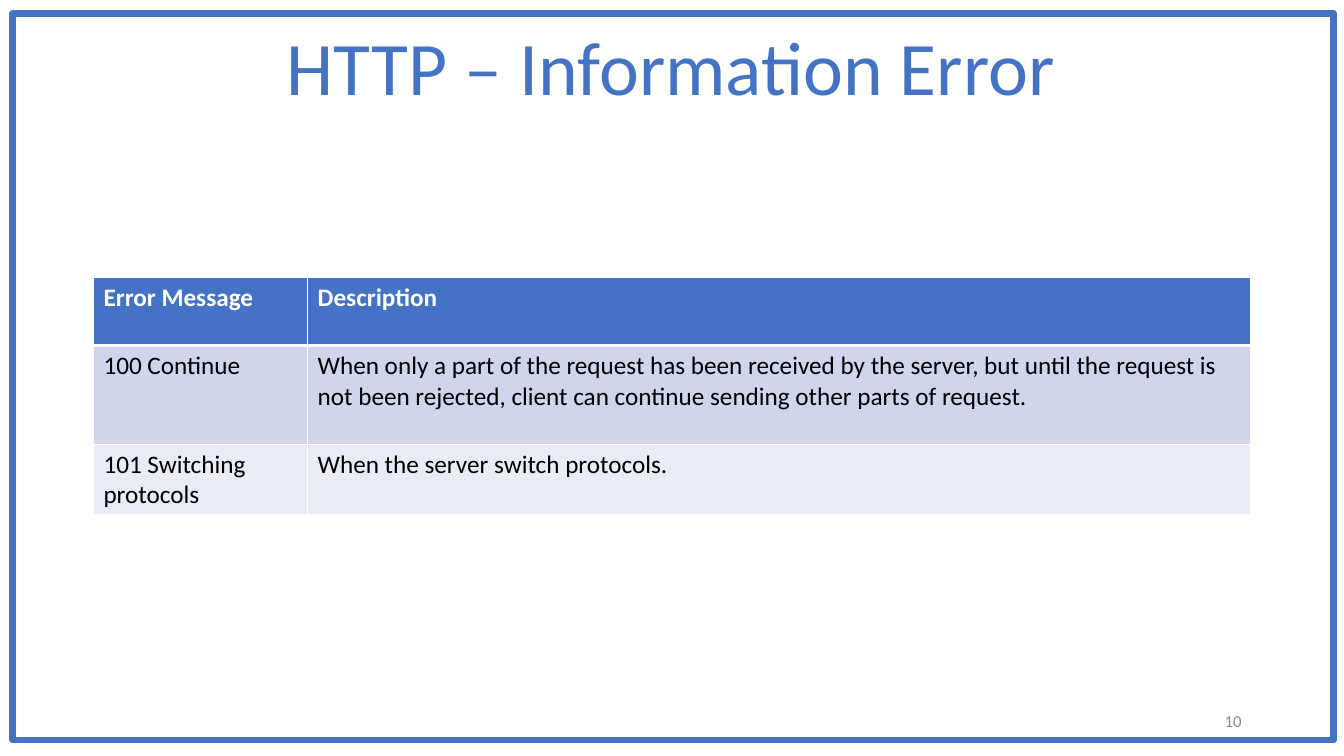
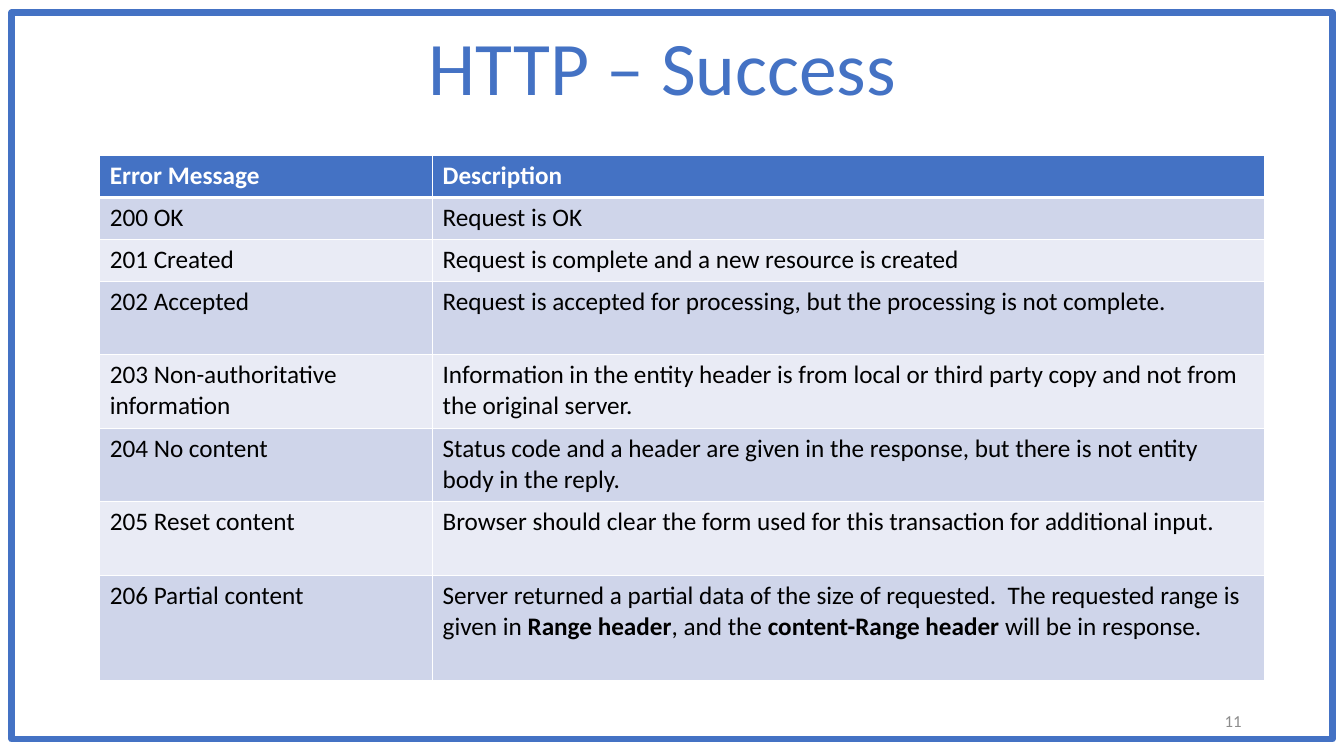
from lxml.etree import SubElement
from pptx import Presentation
from pptx.dml.color import RGBColor
from pptx.enum.shapes import MSO_SHAPE
from pptx.enum.text import MSO_ANCHOR, MSO_AUTO_SIZE, PP_ALIGN
from pptx.oxml.ns import qn
from pptx.util import Emu, Pt

PIXEL = 9525
FONT = "Calibri"
COLORS = {
    "accent": "4472C4",
    "white": "FFFFFF",
    "text": "000000",
    "number": "8C8C8C",
    "dark_band": "CFD5EA",
    "light_band": "E9EBF5",
}


def px(*lengths):
    """Turn pixel lengths into EMU."""
    return [Emu(length * PIXEL) for length in lengths]


def color(name):
    """Look up a named colour."""
    return RGBColor.from_string(COLORS[name])


class Deck:
    """Holds the shared style and the current slide."""

    def __init__(self):
        """Start a widescreen presentation."""
        self.presentation = Presentation()
        self.presentation.slide_width, self.presentation.slide_height = px(1280, 720)
        self.slide = None

    def add_slide(self, title, title_left, title_width, number, frame_left, frame_top):
        """Add a slide with its frame, title and number."""
        self.slide = self.presentation.slides.add_slide(self.presentation.slide_layouts[5])
        self.frame(frame_left, frame_top)
        self.title(title, title_left, title_width)
        self.number(number)

    def frame(self, left, top):
        """Draw the outline around the slide."""
        shape = self.slide.shapes.add_shape(MSO_SHAPE.RECTANGLE, *px(left, top, 1258, 692))
        shape.shadow.inherit = False
        shape.fill.background()
        shape.line.color.rgb = color("accent")
        shape.line.width = Pt(4.5)

    def title(self, text, left, width):
        """Fill and place the title placeholder."""
        shape = self.slide.shapes.title
        shape.left, shape.top, shape.width, shape.height = px(left, 14, width, 97)
        frame = shape.text_frame
        frame.word_wrap = False
        frame.auto_size = MSO_AUTO_SIZE.SHAPE_TO_FIT_TEXT
        frame.vertical_anchor = MSO_ANCHOR.TOP
        paragraph = frame.paragraphs[0]
        paragraph.alignment = PP_ALIGN.CENTER
        self.run(paragraph, text, 54, "accent")

    def number(self, number):
        """Write the slide number at the bottom right."""
        frame = self.slide.shapes.add_textbox(*px(904, 667, 288, 38)).text_frame
        frame.word_wrap = True
        frame.vertical_anchor = MSO_ANCHOR.MIDDLE
        paragraph = frame.paragraphs[0]
        paragraph.alignment = PP_ALIGN.RIGHT
        self.run(paragraph, str(number), 12, "number")

    def run(self, paragraph, text, size, color_name, bold=False):
        """Append one formatted run."""
        run = paragraph.add_run()
        run.text = text
        run.font.name = FONT
        run.font.size = Pt(size)
        run.font.bold = bold
        run.font.color.rgb = color(color_name)

    def table(self, left, top, columns, heights, rows):
        """Add a banded table below a header row."""
        rows = [("Error Message", "Description"), *rows]
        table = self.slide.shapes.add_table(
            len(rows), len(columns), *px(left, top, sum(columns), sum(heights))
        ).table
        for column, width in zip(table.columns, px(*columns)):
            column.width = width
        for row, height in zip(table.rows, px(*heights)):
            row.height = height
        for row_index, row in enumerate(rows):
            for column_index, content in enumerate(row):
                self.cell(table.cell(row_index, column_index), content, row_index)

    def cell(self, cell, content, row_index):
        """Fill one cell; odd parts of a tuple are bold."""
        header = row_index == 0
        parts = (content,) if isinstance(content, str) else content
        paragraph = cell.text_frame.paragraphs[0]
        for index, part in enumerate(parts):
            self.run(paragraph, part, 18, "white" if header else "text",
                     header or index % 2 == 1)
        self.borders(cell, 3 if row_index == 1 else 1, 3 if header else 1)
        band = "dark_band" if row_index % 2 else "light_band"
        cell.fill.solid()
        cell.fill.fore_color.rgb = color("accent" if header else band)

    def borders(self, cell, top, bottom):
        """Give a cell white borders with widths in points."""
        properties = cell._tc.get_or_add_tcPr()
        for side, width in (("L", 1), ("R", 1), ("T", top), ("B", bottom)):
            line = SubElement(properties, qn(f"a:ln{side}"), w=str(Pt(width)))
            fill = SubElement(line, qn("a:solidFill"))
            SubElement(fill, qn("a:srgbClr"), val=COLORS["white"])


def main():
    """Build both slides and save them."""
    deck = Deck()
    deck.add_slide("HTTP – Information Error", 258, 762, 10, 12, 13)
    deck.table(89, 264, [204, 898], [65, 94, 65], [
        ("100 Continue", "When only a part of the request has been received by the server, "
         "but until the request is not been rejected, client can continue sending "
         "other parts of request."),
        ("101 Switching protocols", "When the server switch protocols."),
    ])
    deck.add_slide("HTTP – Success ", 388, 502, 11, 11, 12)
    deck.table(95, 148, [317, 792], [40] * 3 + [70] * 4 + [100], [
        ("200 OK", "Request is OK"),
        ("201 Created", "Request is complete and a new resource is created"),
        ("202 Accepted", "Request is accepted for processing, but the processing is "
         "not complete."),
        ("203 Non-authoritative information", "Information in the entity header is from "
         "local or third party copy and not from the original server."),
        ("204 No content", "Status code and a header are given in the response, but there "
         "is not entity body in the reply."),
        ("205 Reset content", "Browser should clear the form used for this transaction for "
         "additional input."),
        ("206 Partial content", (
            "Server returned a partial data of the size of requested.  The requested range "
            "is given in ", "Range header", ", and the ", "content-Range header",
            " will be in response.")),
    ])
    deck.presentation.save("out.pptx")


if __name__ == "__main__":
    main()
